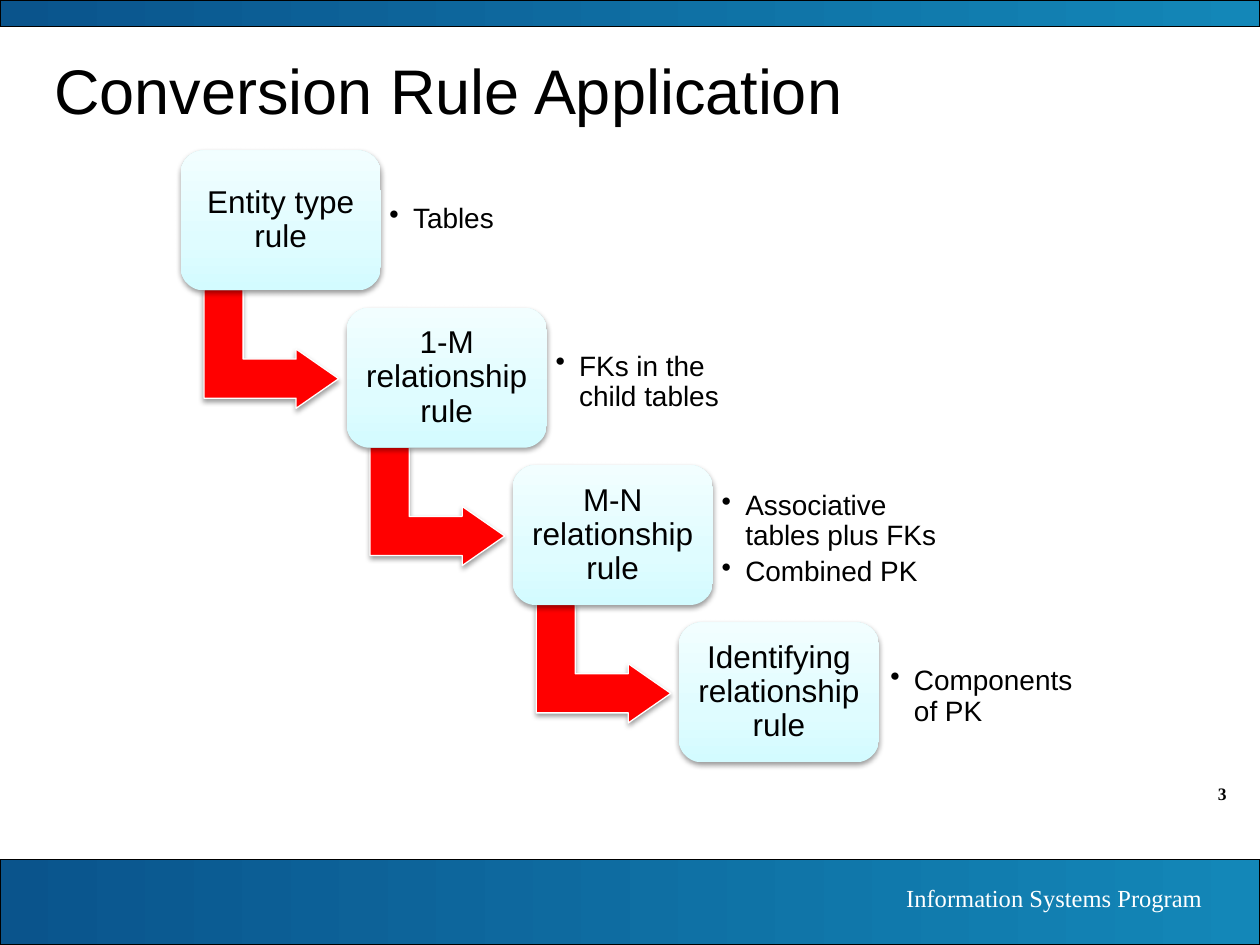
from copy import deepcopy

from lxml import etree
from pptx import Presentation
from pptx import util as u
from pptx.dml.color import RGBColor
from pptx.enum import shapes, text
from pptx.oxml import ns

BLACK = RGBColor(0, 0, 0)
WHITE = RGBColor(255, 255, 255)
RED = RGBColor(255, 0, 0)
DEEP_BLUE = RGBColor(0x0A, 0x54, 0x8C)
SEA_BLUE = RGBColor(0x13, 0x87, 0xB8)
ICE = RGBColor(0xD3, 0xFB, 0xFF)
PALE_ICE = RGBColor(0xDF, 0xFC, 0xFF)
FROST = RGBColor(0xF2, 0xFE, 0xFF)

Pt = u.Pt
MIDDLE = text.MSO_ANCHOR.MIDDLE
LEFT, CENTER, RIGHT = text.PP_ALIGN.LEFT, text.PP_ALIGN.CENTER, text.PP_ALIGN.RIGHT
TIGHT = {"vertical_anchor": MIDDLE, "margin_left": Pt(5), "margin_right": Pt(5),
         "margin_top": Pt(5), "margin_bottom": Pt(5)}


def write(box, lines, frame_format, para_format, font_format, color, bullet_indent=0):
    frame = box.text_frame
    frame.word_wrap = True
    for name, value in frame_format.items():
        setattr(frame, name, value)
    for index, line in enumerate(lines):
        para = frame.paragraphs[0] if index == 0 else frame.add_paragraph()
        for name, value in para_format.items():
            setattr(para, name, value)
        if bullet_indent:
            properties = para._p.get_or_add_pPr()
            properties.set("marL", str(Pt(bullet_indent)))
            properties.set("indent", str(-Pt(bullet_indent)))
            etree.SubElement(properties, ns.qn("a:buChar"), char="•")
        span = para.add_run()
        span.text = line
        for name, value in font_format.items():
            setattr(span.font, name, value)
        span.font.color.rgb = color


def shade(shape, angle, first, last, middle=None):
    shape.fill.gradient()
    shape.fill.gradient_angle = angle
    stops = shape.fill.gradient_stops
    for stop, color, position in zip(stops, (first, last), (0, 1)):
        stop.color.rgb = color
        stop.position = position
    if middle:
        start = next(shape._element.spPr.iter(ns.qn("a:gs")))
        start.addnext(deepcopy(start))
        inner = shape.fill.gradient_stops[1]
        inner.color.rgb, inner.position = middle


deck = Presentation()
deck.slide_width, deck.slide_height = Pt(720), Pt(540)
page = deck.slides.add_slide(deck.slide_layouts[6])

for top, height in ((491, 49), (0, 15)):
    band = page.shapes.add_shape(shapes.MSO_SHAPE.RECTANGLE, 0, Pt(top), Pt(720), Pt(height))
    band.shadow.inherit = False
    shade(band, 0, DEEP_BLUE, SEA_BLUE)
    band.line.color.rgb = BLACK
    band.line.width = Pt(0.75)

labels = (
    ("3", (648, 444.2, 60, 19.4), RIGHT, {"name": "Times New Roman", "size": Pt(10), "bold": True}, BLACK, {}),
    ("Information Systems Program", (399.6, 501, 294.5, 24.5), RIGHT,
     {"name": "Times New Roman", "size": Pt(14)}, WHITE, {}),
    ("Conversion Rule Application", (24, 24, 660, 54), LEFT,
     {"name": "Arial", "size": Pt(36)}, BLACK, {"vertical_anchor": MIDDLE}),
)
for words, place, align, font_format, color, frame_format in labels:
    box = page.shapes.add_textbox(*map(Pt, place))
    write(box, [words], frame_format, {"alignment": align}, font_format, color)

steps = (
    ("Entity type rule", ["Tables"], 0, 7, 83.5),
    ("1-M relationship rule", ["FKs in the child tables"], 0, 10, 108),
    ("M-N relationship rule", ["Associative tables plus FKs", "Combined PK"], 0, 10, 144.7),
    ("Identifying relationship rule", ["Components of PK"], 1.5, 10, 121.7),
)
rule_width, rule_height = 114.4, 80
for index, (rule, results, gap, drop, result_width) in enumerate(steps):
    left, top = 103.2 + index * 94.9, 86 + index * 89.9
    raised = []

    if index < len(steps) - 1:
        arrow = page.shapes.add_shape(shapes.MSO_SHAPE.BENT_UP_ARROW, Pt(left + 18), Pt(top + 75),
                                      Pt(67.7), Pt(77))
        arrow.rotation = 90
        for place, value in enumerate((0.33, 0.25, 0.36)):
            arrow.adjustments[place] = value
        arrow.fill.solid()
        arrow.fill.fore_color.rgb = RED
        arrow.line.color.rgb = WHITE
        arrow.line.width = Pt(0.75)
        raised.append(arrow)

    card = page.shapes.add_shape(shapes.MSO_SHAPE.ROUNDED_RECTANGLE, Pt(left), Pt(top),
                                 Pt(rule_width), Pt(rule_height))
    shade(card, 90, ICE, FROST, (PALE_ICE, 0.35))
    card.line.fill.background()
    write(card, [rule], TIGHT, {"alignment": CENTER, "line_spacing": 0.9},
          {"name": "Arial", "size": Pt(18)}, BLACK)
    raised.append(card)

    for shape in raised:
        shape.shadow.inherit = False
        effects = shape._element.spPr.find(ns.qn("a:effectLst"))
        shadow = etree.SubElement(effects, ns.qn("a:outerShdw"), blurRad=str(Pt(3.1)),
                                  dist=str(Pt(1.6)), dir="5400000", rotWithShape="0")
        tone = etree.SubElement(shadow, ns.qn("a:srgbClr"), val=str(BLACK))
        etree.SubElement(tone, ns.qn("a:alpha"), val="38000")

    box = page.shapes.add_textbox(Pt(left + rule_width + gap), Pt(top + drop), Pt(result_width), Pt(65))
    write(box, results, TIGHT, {"line_spacing": 0.9, "space_after": Pt(3)},
          {"name": "Arial", "size": Pt(16)}, BLACK, 13.5)

deck.save("out.pptx")
